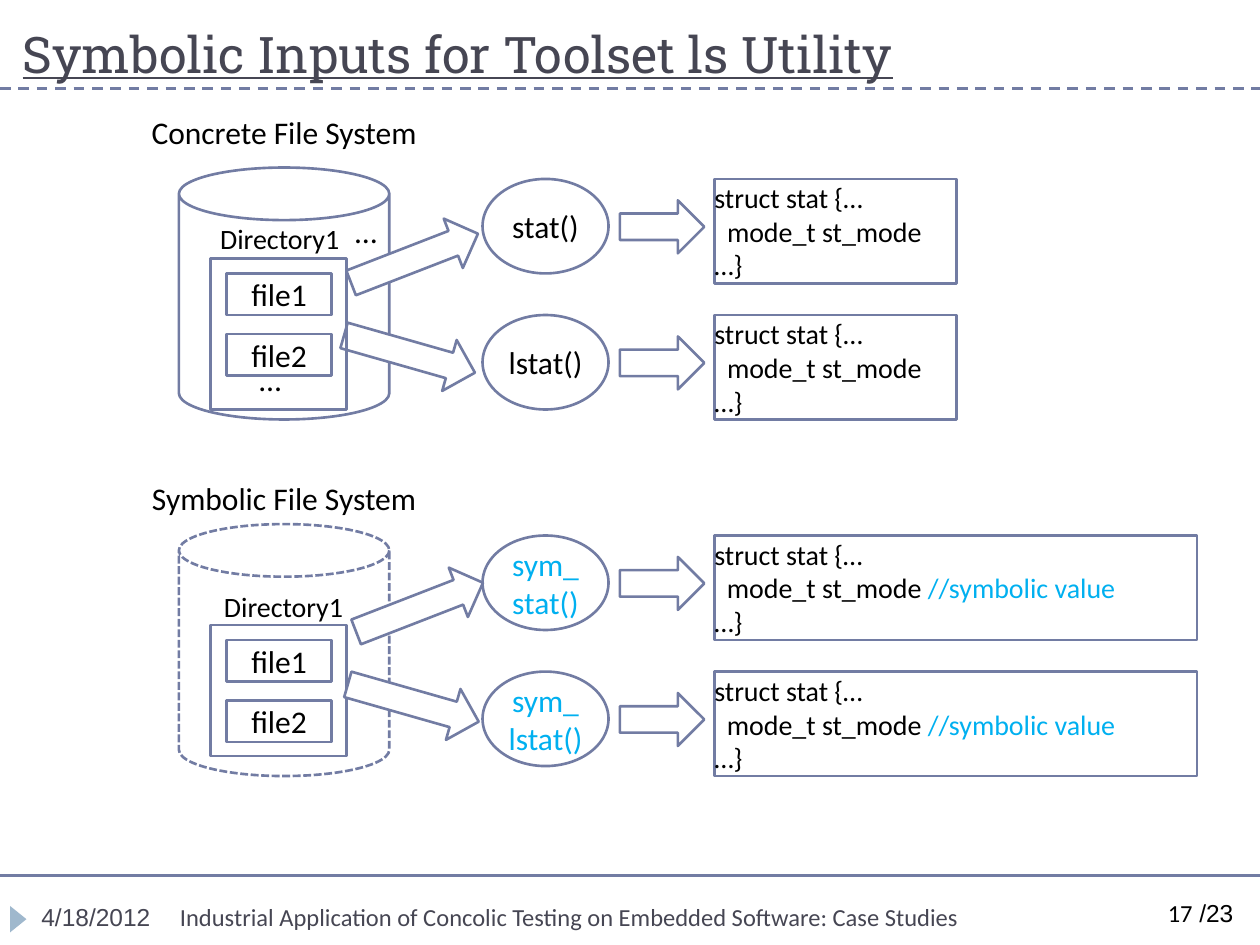
from lxml.etree import SubElement
from pptx import Presentation
from pptx.dml.color import RGBColor
from pptx.enum.dml import MSO_LINE
from pptx.enum.shapes import MSO_CONNECTOR, MSO_SHAPE
from pptx.enum.text import MSO_ANCHOR, MSO_AUTO_SIZE, PP_ALIGN
from pptx.oxml.ns import qn
from pptx.util import Inches, Pt

COLORS = {
    "outline": "727CA3",
    "paper": "FFFFFF",
    "marker": "9FB8CD",
    "heading": "464653",
    "text": "000000",
    "symbolic": "00B0F0",
}
LINE_WIDTH = Pt(1.5)
SYMBOLIC_OFFSET = 2.83  # distance from the concrete diagram down to the symbolic one
CALL_STEP = 1.08


def rgb(name):
    return RGBColor.from_string(COLORS[name])


def box(left, top, width, height):
    return [Inches(length) for length in (left, top, width, height)]


def write(frame, paragraphs, size=18, font="Calibri", color="text",
          align=PP_ALIGN.LEFT, underline=None):
    """Fill a text frame; each paragraph is a string or a list of (text, color) runs."""
    for index, content in enumerate(paragraphs):
        paragraph = frame.paragraphs[0] if index == 0 else frame.add_paragraph()
        paragraph.alignment = align
        runs = [(content, color)] if isinstance(content, str) else content
        for words, run_color in runs:
            run = paragraph.add_run()
            run.text = words
            run.font.size = Pt(size)
            run.font.name = font
            run.font.underline = underline
            run.font.color.rgb = rgb(run_color)


def add_label(slide, area, words, wrap=True, **style):
    frame = slide.shapes.add_textbox(*box(*area)).text_frame
    frame.word_wrap = wrap
    write(frame, [words], **style)


def add_outlined(slide, preset, area, paragraphs=(), fill="paper", dash=None,
                 rotation=0, **style):
    shape = slide.shapes.add_shape(preset, *box(*area))
    shape.shadow.inherit = False
    shape.rotation = rotation
    if fill:
        shape.fill.solid()
        shape.fill.fore_color.rgb = rgb(fill)
    else:
        shape.fill.background()
    shape.line.color.rgb = rgb("outline")
    shape.line.width = LINE_WIDTH
    if dash:
        shape.line.dash_style = dash
    frame = shape.text_frame
    frame.margin_left = frame.margin_top = frame.margin_right = frame.margin_bottom = 0
    frame.vertical_anchor = MSO_ANCHOR.MIDDLE
    write(frame, paragraphs, **style)
    return shape


def add_rule(slide, top, dash=None):
    rule = slide.shapes.add_connector(
        MSO_CONNECTOR.STRAIGHT, 0, Inches(top), Inches(10), Inches(top))
    rule.line.color.rgb = rgb("outline")
    rule.line.width = LINE_WIDTH
    if dash:
        rule.line.dash_style = dash
    SubElement(rule._element.spPr, qn("a:effectLst"))


def add_title(slide, words):
    title = slide.shapes.title
    title.left, title.top, title.width, title.height = box(0.08, 0.17, 9.84, 0.54)
    frame = title.text_frame
    frame.auto_size = MSO_AUTO_SIZE.NONE
    frame.vertical_anchor = MSO_ANCHOR.BOTTOM
    write(frame, [words], size=28.8, font="Roboto Slab", color="heading", underline=True)


def add_footer(slide):
    add_rule(slide, 6.95)
    marker = add_outlined(slide, MSO_SHAPE.ISOSCELES_TRIANGLE, (0.04, 7.23, 0.21, 0.13),
                          fill="marker", rotation=90)
    marker.line.fill.background()
    add_label(slide, (9.42, 7.08, 0.47, 0.34), "/23", wrap=False, size=14, font="Arial")
    add_label(slide, (0.23, 7.11, 1.27, 0.32), "4/18/2012",
              size=14, font="Arial", color="heading")
    add_label(slide, (9.17, 7.08, 0.5, 0.32), "17", size=14)
    add_label(slide, (1.33, 7.11, 6.5, 0.32),
              "Industrial Application of Concolic Testing on Embedded Software: Case Studies",
              size=14, color="heading")


def add_disk(slide, top, dash=None):
    add_outlined(slide, MSO_SHAPE.CAN, (1.42, top, 1.67, 2), dash=dash)


def add_call(slide, top, call, color, struct_width, comment=""):
    """One row: the called function, an arrow, and the structure it returns."""
    add_outlined(slide, MSO_SHAPE.OVAL, (3.83, top, 1, 0.75), call,
                 color=color, align=PP_ALIGN.CENTER)
    add_outlined(slide, MSO_SHAPE.RIGHT_ARROW, (4.92, top + 0.17, 0.67, 0.42))
    member = [("mode_t st_mode", "text")]
    if comment:
        member = [("mode_t st_mode ", "text"), (comment, "symbolic")]
    struct = add_outlined(slide, MSO_SHAPE.RECTANGLE, (5.67, top, struct_width, 0.83),
                          ["struct stat {…", member, "…}"], size=16)
    member_properties = struct.text_frame.paragraphs[1]._p.get_or_add_pPr()
    member_properties.set("marL", str(Inches(0.1)))


def add_directory(slide, top, height, label_left, label_top):
    for index, file_name in enumerate(("file1", "file2")):
        add_outlined(slide, MSO_SHAPE.RECTANGLE,
                     (1.8, top + 0.12 + index * 0.48, 0.83, 0.33),
                     [file_name], align=PP_ALIGN.CENTER)
    add_outlined(slide, MSO_SHAPE.RECTANGLE, (1.67, top, 1.08, height), fill=None)
    add_label(slide, (label_left, label_top, 1.42, 0.37), "Directory1",
              size=16, align=PP_ALIGN.CENTER)


def add_file_arrows(slide, rising, falling):
    """Slanted arrows from the files to the calls, given as (left, top) pairs."""
    for (left, top), rotation in ((rising, 338.8), (falling, 15.9)):
        add_outlined(slide, MSO_SHAPE.RIGHT_ARROW, (left, top, 1.08, 0.42),
                     rotation=rotation)


def add_concrete_system(slide):
    add_label(slide, (1.08, 0.85, 2.35, 0.4), "Concrete File System", align=PP_ALIGN.CENTER)
    add_disk(slide, 1.33)
    for row, call in enumerate(("stat()", "lstat()")):
        add_call(slide, 1.42 + row * CALL_STEP, [call], "text", 1.92)
    add_file_arrows(slide, (2.75, 1.84), (2.71, 2.6))
    add_directory(slide, 2.05, 1.2, 1.51, 1.71)
    for left, top in ((1.96, 2.81), (2.72, 1.63)):
        add_label(slide, (left, top, 0.53, 0.4), "…")


def add_symbolic_system(slide):
    add_label(slide, (1.08, 3.75, 2.35, 0.4), "Symbolic File System", align=PP_ALIGN.CENTER)
    add_disk(slide, 1.33 + SYMBOLIC_OFFSET, dash=MSO_LINE.SQUARE_DOT)
    for row, call in enumerate(("stat()", "lstat()")):
        add_call(slide, 1.42 + SYMBOLIC_OFFSET + row * CALL_STEP, ["sym_", call],
                 "symbolic", 3.83, comment="//symbolic value")
    add_directory(slide, 4.96, 1.04, 1.54, 4.63)
    add_file_arrows(slide, (2.79, 4.61), (2.74, 5.37))


def main():
    deck = Presentation()
    deck.slide_width, deck.slide_height = Inches(10), Inches(7.5)
    slide = deck.slides.add_slide(deck.slide_layouts.get_by_name("Title Only"))
    add_rule(slide, 0.7, dash=MSO_LINE.DASH)
    add_title(slide, "Symbolic Inputs for Toolset ls Utility")
    add_footer(slide)
    add_concrete_system(slide)
    add_symbolic_system(slide)
    deck.save("out.pptx")


if __name__ == "__main__":
    main()
